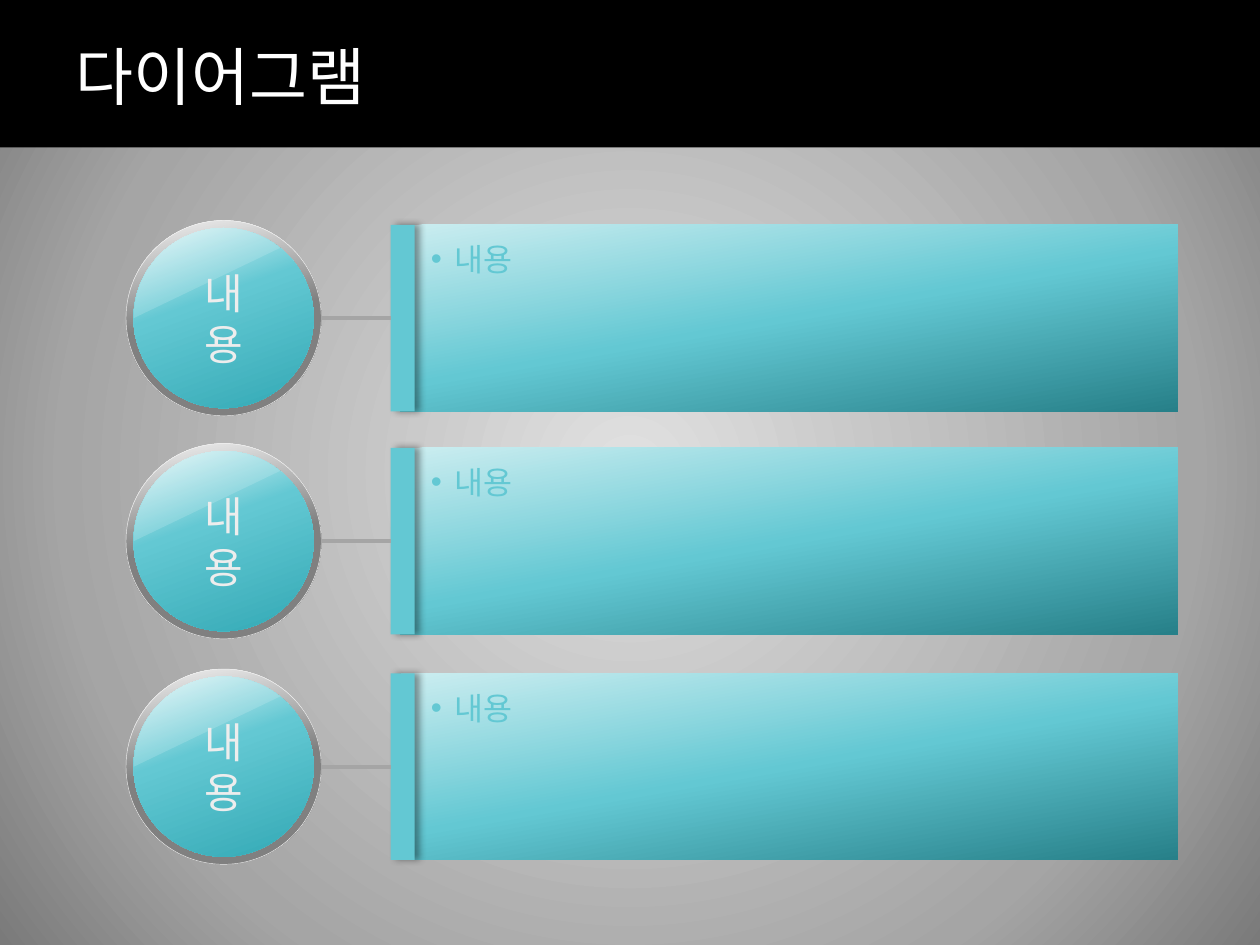
import pptx
import pptx.dml.color
import pptx.enum.shapes
import pptx.enum.text
import pptx.oxml
import pptx.oxml.ns
import pptx.util

Inches, Pt = pptx.util.Inches, pptx.util.Pt
RGBColor = pptx.dml.color.RGBColor
SHAPES = pptx.enum.shapes.MSO_SHAPE
ALIGN = pptx.enum.text.PP_ALIGN
ANCHOR = pptx.enum.text.MSO_ANCHOR
qn = pptx.oxml.ns.qn

TITLE = "다이어그램"
ROWS = [("내용", "내용", 1.75), ("내용", "내용", 3.52), ("내용", "내용", 5.31)]  # label, bullet, top

BLACK = RGBColor(0x00, 0x00, 0x00)
WHITE = RGBColor(0xFF, 0xFF, 0xFF)
TEAL = RGBColor(0x63, 0xC8, 0xD3)
GLOSS = RGBColor(0xE0, 0xF4, 0xF6)
RIM_LINE = RGBColor(0xF2, 0xF2, 0xF2)
LABEL_COLOR = RGBColor(0xED, 0xED, 0xED)
GREY = RGBColor(0xA5, 0xA5, 0xA5)
DARK_GREY = RGBColor(0x80, 0x80, 0x80)

BACKDROP = [(0, RGBColor(0xE1, 0xE1, 0xE1)), (72, GREY), (100, RGBColor(0x7A, 0x7A, 0x7A))]
RIM = [(0, RIM_LINE), (50, DARK_GREY), (100, DARK_GREY)]
BALL = [(0, RGBColor(0xEF, 0xFA, 0xFB)), (40, TEAL), (100, RGBColor(0x33, 0xA9, 0xB5))]
PANEL = [(0, RGBColor(0xCB, 0xED, 0xF0)), (50, TEAL), (100, RGBColor(0x27, 0x80, 0x89))]

RIM_LEFT, RIM_SIZE, RIM_WIDTH = 1, 1.55, 0.06
BALL_SIZE = RIM_SIZE - 2 * RIM_WIDTH
PANEL_LEFT, PANEL_WIDTH, PANEL_HEIGHT = 3.18, 6.17, 1.48
TAB_LEFT, TAB_WIDTH = 3.1, 0.19
LABEL_WIDTH, LABEL_HEIGHT = 0.8, 0.5


def element(xml):
    namespace = pptx.oxml.ns.nsdecls("a")
    return pptx.oxml.parse_xml(xml.replace(">", f" {namespace}>", 1))


def set_gradient(fill, owner, stops, direction):
    """Give owner, the element that holds fill, a gradient in place of a plain colour."""
    fill.solid()
    stop_xml = "".join(f'<a:gs pos="{position * 1000}"><a:srgbClr val="{color}"/></a:gs>'
                       for position, color in stops)
    gradient = element(f'<a:gradFill rotWithShape="1"><a:gsLst>{stop_xml}</a:gsLst>'
                       f'{direction}</a:gradFill>')
    owner.replace(owner.find(qn("a:solidFill")), gradient)


def add_shape(page, kind, left, top, width, height, color=None, stops=None, angle=0):
    shape = page.shapes.add_shape(kind, Inches(left), Inches(top), Inches(width), Inches(height))
    shape.shadow.inherit = False
    shape.line.fill.background()
    if stops:
        direction = f'<a:lin ang="{angle * 60000}" scaled="0"/>'
        set_gradient(shape.fill, shape._element.spPr, stops, direction)
    else:
        shape.fill.solid()
        shape.fill.fore_color.rgb = color
    return shape


def write(box, text, size, color, font="Cabin", align=ALIGN.LEFT, anchor=ANCHOR.MIDDLE,
          margins=(0.1, 0.05, 0.1, 0.05), bullet_indent=0):
    frame = box.text_frame
    frame.word_wrap = True
    frame.vertical_anchor = anchor
    frame.margin_left, frame.margin_top, frame.margin_right, frame.margin_bottom = map(Inches, margins)
    para = frame.paragraphs[0]
    para.alignment = align
    if bullet_indent:
        properties = para._p.get_or_add_pPr()
        properties.set("marL", str(Inches(bullet_indent)))
        properties.set("indent", str(-Inches(bullet_indent)))
        properties.append(element('<a:buFont typeface="Arial"></a:buFont>'))
        properties.append(element('<a:buChar char="•"></a:buChar>'))
    span = para.add_run()
    span.text = text
    span.font.name = font
    span.font.size = Pt(size)
    span.font.color.rgb = color


def add_text(page, left, top, width, height, text, **style):
    box = page.shapes.add_textbox(Inches(left), Inches(top), Inches(width), Inches(height))
    write(box, text, **style)


def add_ball(page, top, label):
    rim = add_shape(page, SHAPES.OVAL, RIM_LEFT, top, RIM_SIZE, RIM_SIZE, stops=RIM, angle=80)
    rim.line.color.rgb = RIM_LINE
    rim.line.width = Pt(0.25)
    inner = (RIM_LEFT + RIM_WIDTH, top + RIM_WIDTH, BALL_SIZE, BALL_SIZE)
    add_shape(page, SHAPES.OVAL, *inner, stops=BALL, angle=70)
    gloss = add_shape(page, SHAPES.CHORD, *inner, color=GLOSS)
    gloss.rotation = 90
    gloss.adjustments[0], gloss.adjustments[1] = 53.946, 131.298
    gloss._element.spPr.find(".//" + qn("a:srgbClr")).append(element('<a:alpha val="20000"></a:alpha>'))
    add_text(page, RIM_LEFT + (RIM_SIZE - LABEL_WIDTH) / 2, top + (RIM_SIZE - LABEL_HEIGHT) / 2,
             LABEL_WIDTH, LABEL_HEIGHT, label, size=24, color=LABEL_COLOR, align=ALIGN.CENTER,
             margins=(0.15, 0.05, 0.15, 0.05))


def add_panel(page, top, text):
    """Add the panel and return the raised tab on its left edge."""
    panel = add_shape(page, SHAPES.RECTANGLE, PANEL_LEFT, top, PANEL_WIDTH, PANEL_HEIGHT,
                      stops=PANEL, angle=80)
    write(panel, text, size=18, color=TEAL, anchor=ANCHOR.TOP,
          margins=(0.24, 0.12, 0.1, 0.05), bullet_indent=0.19)
    tab = add_shape(page, SHAPES.RECTANGLE, TAB_LEFT, top, TAB_WIDTH, PANEL_HEIGHT, color=TEAL)
    tab._element.spPr.find(qn("a:effectLst")).append(element(
        f'<a:outerShdw blurRad="{Pt(4)}" dist="{Pt(3)}" dir="0" algn="l" rotWithShape="0">'
        f'<a:srgbClr val="{BLACK}"><a:alpha val="40000"/></a:srgbClr></a:outerShdw>'))
    return tab


def add_link(page, middle, tab):
    link = page.shapes.add_connector(pptx.enum.shapes.MSO_CONNECTOR.STRAIGHT,
                                     Inches(RIM_LEFT + RIM_SIZE), Inches(middle),
                                     Inches(TAB_LEFT), Inches(middle))
    link.end_connect(tab, 1)
    link.line.color.rgb = GREY
    link.line.width = Pt(2.25)
    link._element.spPr.append(element("<a:effectLst></a:effectLst>"))


def main():
    deck = pptx.Presentation()
    deck.slide_width, deck.slide_height = Inches(10), Inches(7.5)
    page = deck.slides.add_slide(deck.slide_layouts[6])
    backdrop = page.background.fill
    backdrop.solid()
    set_gradient(backdrop, page._element.find(".//" + qn("p:bgPr")), BACKDROP,
                 '<a:path path="circle"><a:fillToRect l="50000" t="50000" r="50000" b="50000"/></a:path>')

    add_shape(page, SHAPES.RECTANGLE, 0, 0, 10, 1.17, color=BLACK)
    add_text(page, 0.5, 0.19, 9, 0.81, TITLE, size=36, color=WHITE, font="Arial")
    for label, text, top in ROWS:
        add_ball(page, top, label)
        middle = top + RIM_SIZE / 2
        tab = add_panel(page, middle - PANEL_HEIGHT / 2, text)
        add_link(page, middle, tab)
    deck.save("out.pptx")


if __name__ == "__main__":
    main()
